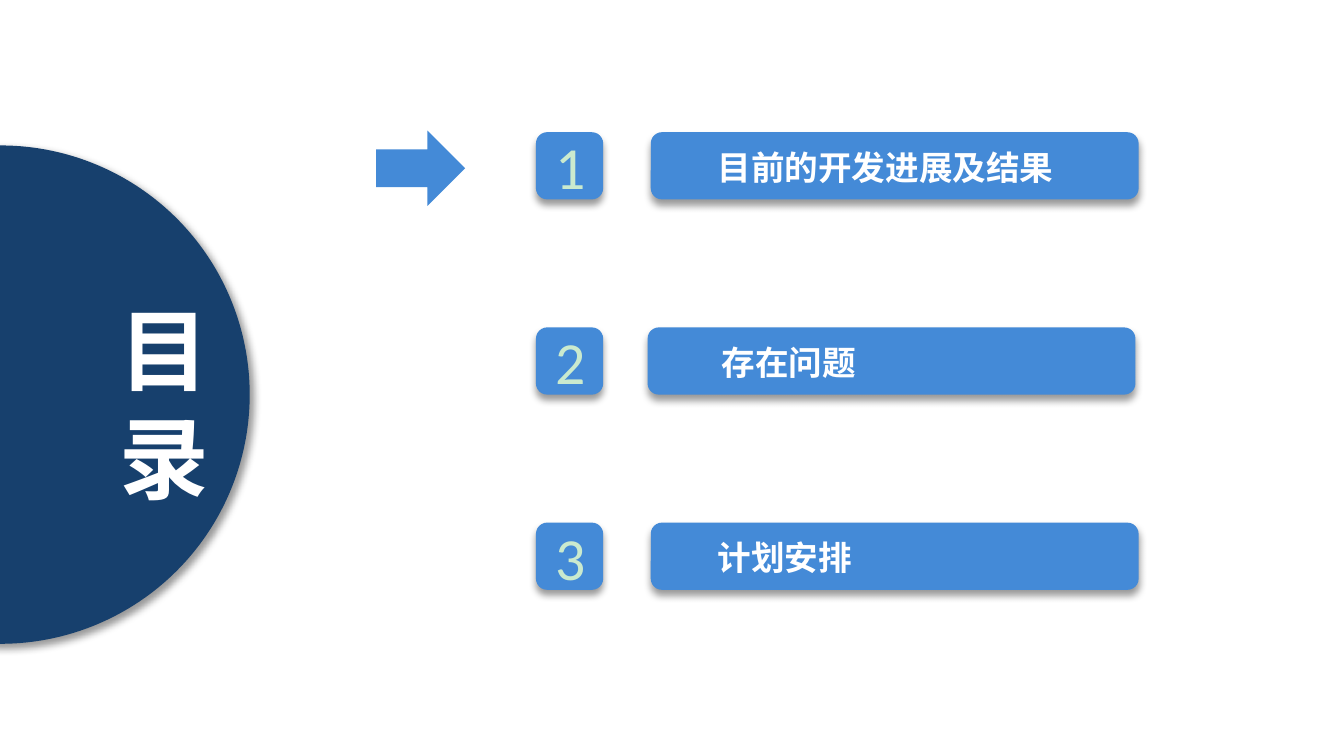
import dataclasses

import pptx
import pptx.dml.color
import pptx.enum.shapes
import pptx.enum.text
import pptx.oxml
import pptx.oxml.ns
import pptx.util

Cm = pptx.util.Cm
Pt = pptx.util.Pt
Preset = pptx.enum.shapes.MSO_SHAPE
Align = pptx.enum.text.PP_ALIGN
Anchor = pptx.enum.text.MSO_ANCHOR


@dataclasses.dataclass(frozen=True)
class Theme:
    navy: str = "17406D"
    blue: str = "448AD7"
    mint: str = "CAEACE"
    white: str = "FFFFFF"
    number_font: str = "Calibri"
    text_font: str = "Noto Sans CJK SC"
    title_size: int = 48
    title_line: int = 58
    number_size: int = 32
    label_size: int = 18


THEME = Theme()
ROW_TOP = 2.5
ROW_PITCH = 3.69
ROW_HEIGHT = 1.27
AGENDA = [
    ("目前的开发进展及结果", 12.3, 13.23, 8.2),
    ("存在问题", 12.24, 13.31, 6.53),
    ("计划安排", 12.3, 13.23, 6.73),
]


def rgb(value):
    return pptx.dml.color.RGBColor.from_string(value)


def add_shadow(shape, degrees):
    effects = pptx.oxml.parse_xml(
        f'<a:effectLst {pptx.oxml.ns.nsdecls("a")}>'
        f'<a:outerShdw blurRad="{Pt(4)}" dist="{Pt(3)}" dir="{degrees * 60000}" '
        'algn="t" rotWithShape="0">'
        '<a:srgbClr val="000000"><a:alpha val="40000"/></a:srgbClr>'
        '</a:outerShdw></a:effectLst>'
    )
    properties = shape._element.spPr
    for existing in properties.findall(pptx.oxml.ns.qn("a:effectLst")):
        properties.remove(existing)
    properties.append(effects)


def add_filled_shape(shapes, preset, left, top, width, height, color, shadow=None):
    shape = shapes.add_shape(preset, Cm(left), Cm(top), Cm(width), Cm(height))
    shape.fill.solid()
    shape.fill.fore_color.rgb = rgb(color)
    shape.line.fill.background()
    shape.shadow.inherit = False
    if shadow is not None:
        add_shadow(shape, shadow)
    return shape


def style_paragraph(paragraph, font_name, size, color, bold, alignment):
    paragraph.alignment = alignment
    font = paragraph.font
    font.size = Pt(size)
    font.bold = bold
    font.color.rgb = rgb(color)
    font.name = font_name
    font._element.append(
        pptx.oxml.parse_xml(
            f'<a:ea {pptx.oxml.ns.nsdecls("a")} typeface="{font_name}"/>'
        )
    )


def set_frame(frame, anchor, horizontal, vertical, wrap=True):
    frame.auto_size = pptx.enum.text.MSO_AUTO_SIZE.NONE
    frame.word_wrap = wrap
    frame.vertical_anchor = anchor
    frame.margin_left = frame.margin_right = Cm(horizontal)
    frame.margin_top = frame.margin_bottom = Cm(vertical)


def add_title(slide):
    circle = add_filled_shape(
        slide.shapes, Preset.OVAL, -4.7, 2.75, 9.42, 9.42, THEME.navy, shadow=45
    )
    title = slide.shapes.title
    title.left, title.top = Cm(-0.2), Cm(5.38)
    title.width, title.height = Cm(6.6), Cm(4.45)
    circle._element.addnext(title._element)
    frame = title.text_frame
    set_frame(frame, Anchor.TOP, 0.33, 0.18)
    frame.text = "目\n录"
    for paragraph in frame.paragraphs:
        style_paragraph(
            paragraph, THEME.text_font, THEME.title_size, THEME.white, True, Align.CENTER
        )
        paragraph.line_spacing = Pt(THEME.title_line)


def add_number(slide, number, top):
    box = add_filled_shape(
        slide.shapes, Preset.ROUNDED_RECTANGLE, 10.13, top,
        ROW_HEIGHT, ROW_HEIGHT, THEME.blue, shadow=90,
    )
    set_frame(box.text_frame, Anchor.MIDDLE, 0.3, 0.15)
    box.text_frame.text = str(number)
    style_paragraph(
        box.text_frame.paragraphs[0], THEME.number_font, THEME.number_size,
        THEME.mint, False, Align.CENTER,
    )


def add_bar(slide, text, top, bar_left, label_left, label_width):
    group = slide.shapes.add_group_shape()
    add_filled_shape(
        group.shapes, Preset.ROUNDED_RECTANGLE, bar_left, top,
        9.22, ROW_HEIGHT, THEME.blue, shadow=90,
    )
    label = add_filled_shape(
        group.shapes, Preset.RECTANGLE, label_left, top + 0.1,
        label_width, 1.1, THEME.blue,
    )
    set_frame(label.text_frame, Anchor.MIDDLE, 0.33, 0)
    label.text_frame.text = text
    style_paragraph(
        label.text_frame.paragraphs[0], THEME.text_font, THEME.label_size,
        THEME.white, True, Align.LEFT,
    )


def add_current_arrow(slide):
    arrow = add_filled_shape(
        slide.shapes, Preset.DOWN_ARROW, 7.24, 2.34, 1.42, 1.68, THEME.blue
    )
    arrow.rotation = 270


def main():
    presentation = pptx.Presentation()
    presentation.slide_width = Cm(25.4)
    presentation.slide_height = Cm(14.29)
    slide = presentation.slides.add_slide(presentation.slide_layouts[5])
    slide.background.fill.solid()
    slide.background.fill.fore_color.rgb = rgb(THEME.white)
    add_title(slide)
    for index, (text, bar_left, label_left, label_width) in enumerate(AGENDA):
        top = ROW_TOP + index * ROW_PITCH
        add_number(slide, index + 1, top)
        add_bar(slide, text, top, bar_left, label_left, label_width)
    add_current_arrow(slide)
    presentation.save("out.pptx")


if __name__ == "__main__":
    main()
